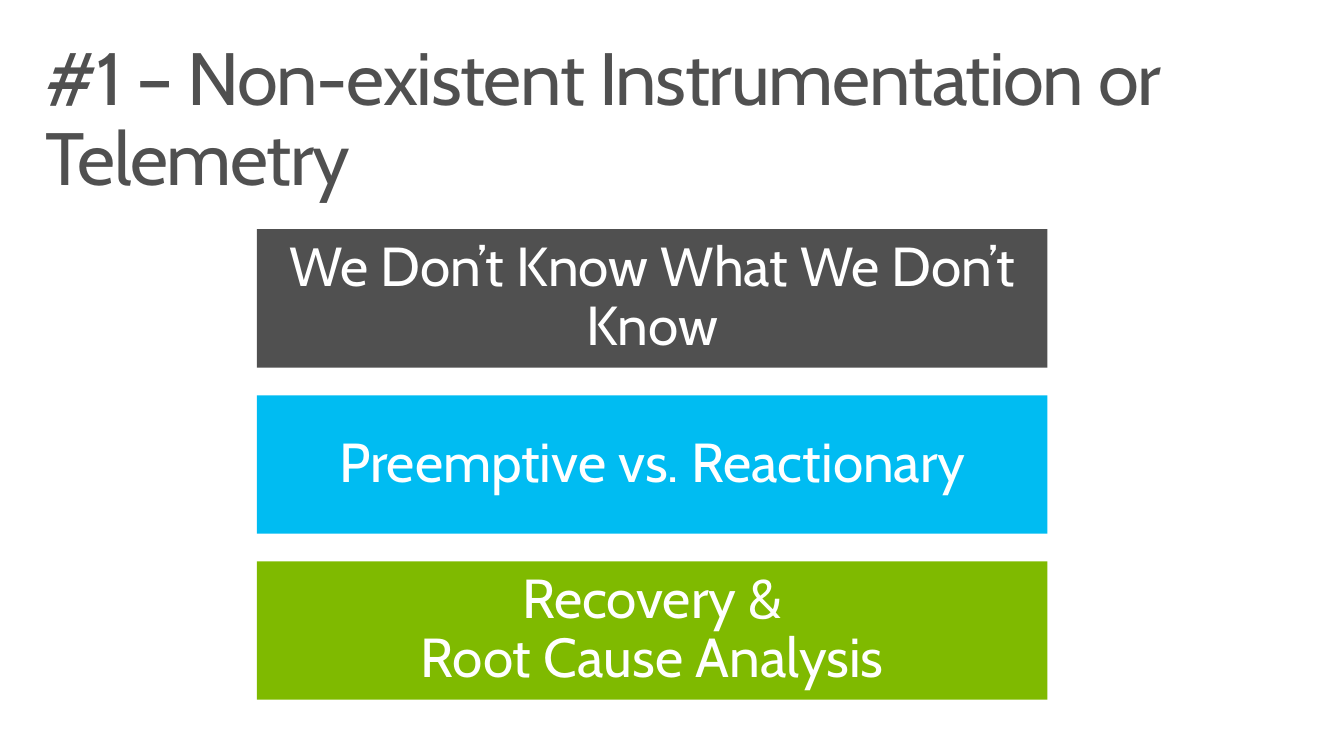
from dataclasses import dataclass

from pptx import Presentation
from pptx import util as u
from pptx.dml.color import RGBColor
from pptx.enum import shapes, text


@dataclass(frozen=True)
class Theme:
    font: str = "Cabin"
    title_size: int = 54
    box_size: int = 40
    line_spacing: float = 0.9
    gray: str = "505050"
    blue: str = "00BCF2"
    green: str = "7FBA00"
    white: str = "FFFFFF"


THEME = Theme()
BOX_LEFT, BOX_TOP, BOX_WIDTH, BOX_HEIGHT = 2.6, 2.32, 8, 1.4
BOX_STEP = 1.68
REASONS = [
    ("We Don’t Know What We Don’t Know", THEME.gray),
    ("Preemptive vs. Reactionary", THEME.blue),
    ("Recovery &\nRoot Cause Analysis", THEME.green),
]


def format_text(frame, size, color, align, anchor, inset_x, inset_y):
    frame.word_wrap = True
    frame.auto_size = text.MSO_AUTO_SIZE.NONE
    frame.vertical_anchor = anchor
    frame.margin_left = frame.margin_right = u.Inches(inset_x)
    frame.margin_top = frame.margin_bottom = u.Inches(inset_y)
    for para in frame.paragraphs:
        para.alignment = align
        para.line_spacing = THEME.line_spacing
        para.space_before = u.Pt(0)
        for span in para.runs:
            span.font.name = THEME.font
            span.font.size = u.Pt(size)
            span.font.color.rgb = RGBColor.from_string(color)


def set_title(page, wording):
    title = page.shapes.title
    title.left, title.top = u.Inches(0.3), u.Inches(0.32)
    title.width, title.height = u.Inches(13), u.Inches(1)
    title.text_frame.text = wording
    format_text(title.text_frame, THEME.title_size, THEME.gray,
                text.PP_ALIGN.LEFT, text.MSO_ANCHOR.TOP, 0.16, 0.1)
    for span in title.text_frame.paragraphs[0].runs:
        span.font._element.set("spc", "-100")  # letter spacing of -1 pt


def add_reason(page, top, wording, fill):
    box = page.shapes.add_shape(
        shapes.MSO_SHAPE.RECTANGLE, u.Inches(BOX_LEFT), u.Inches(top),
        u.Inches(BOX_WIDTH), u.Inches(BOX_HEIGHT))
    box.shadow.inherit = False
    box.fill.solid()
    box.fill.fore_color.rgb = RGBColor.from_string(fill)
    box.line.fill.background()
    box.text_frame.text = wording
    format_text(box.text_frame, THEME.box_size, THEME.white,
                text.PP_ALIGN.CENTER, text.MSO_ANCHOR.MIDDLE, 0.2, 0.16)


def main():
    deck = Presentation()
    deck.slide_width, deck.slide_height = u.Inches(13.6), u.Inches(7.65)
    page = deck.slides.add_slide(deck.slide_layouts[5])
    set_title(page, "#1 – Non-existent Instrumentation or Telemetry")
    for index, (wording, fill) in enumerate(REASONS):
        add_reason(page, BOX_TOP + index * BOX_STEP, wording, fill)
    deck.save("out.pptx")


if __name__ == "__main__":
    main()
